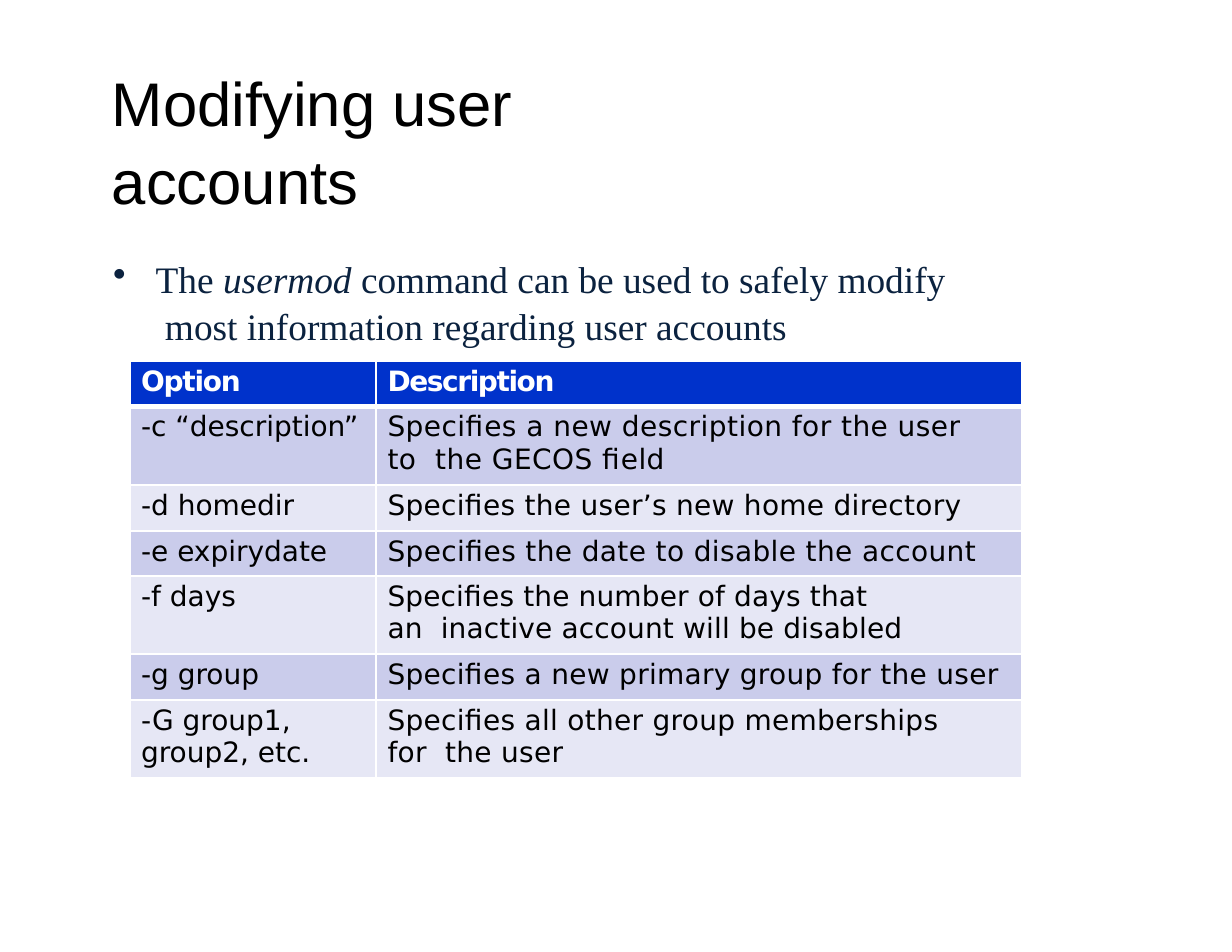
from lxml import etree
from pptx import Presentation
from pptx.dml.color import RGBColor
from pptx.enum.text import MSO_ANCHOR as Anchor, MSO_AUTO_SIZE as AutoSize
from pptx.oxml.ns import qn
from pptx.util import Inches, Pt

BLACK, WHITE, NAVY = "000000", "FFFFFF", "0B223F"
HEADER_FILL, BAND_FILLS = "0032CB", ("CACCEB", "E6E7F5")
COLUMN_WIDTHS = (2.2, 5.76)
ROW_HEIGHTS = (0.41, 0.7, 0.41, 0.4, 0.7, 0.41, 0.7)
# Each row: option, description, letter spacing of the description in points
OPTIONS = [
    ("Option", "Description", -0.9),
    ("-c “description”", "Specifies a new description for the user\nto  the GECOS field", 0.3),
    ("-d homedir", "Specifies the user’s new home directory", 0.2),
    ("-e expirydate", "Specifies the date to disable the account", 0.25),
    ("-f days", "Specifies the number of days that\nan  inactive account will be disabled", 0.1),
    ("-g group", "Specifies a new primary group for the user", 0.2),
    ("-G group1, group2, etc.", "Specifies all other group memberships\nfor  the user", 0.2),
]


def color(value):
    return RGBColor.from_string(value)


def style_run(span, font, size, hue, bold=False, italic=False, spacing=0):
    span.font.name, span.font.size = font, Pt(size)
    span.font.bold, span.font.italic = bold, italic
    span.font.color.rgb = color(hue)
    if spacing:
        span.font._element.set("spc", str(round(spacing * 100)))


def add_text_box(page, left, top, width, height, anchor):
    box = page.shapes.add_textbox(Inches(left), Inches(top), Inches(width), Inches(height))
    frame = box.text_frame
    frame.word_wrap, frame.auto_size = True, AutoSize.SHAPE_TO_FIT_TEXT
    frame.vertical_anchor = anchor
    frame.margin_left = frame.margin_right = frame.margin_bottom = 0
    frame.margin_top = Inches(0.01)
    para = frame.paragraphs[0]
    para.space_before, para.line_spacing = Pt(1), 1.05
    return para


def add_title(page, left, top, width, height):
    para = add_text_box(page, left, top, width, height, Anchor.MIDDLE)
    para.text = "Modifying user accounts"
    style_run(para.runs[0], "Arial", 39.6, BLACK)


def add_bullet(page, left, top, width, height):
    para = add_text_box(page, left, top, width, height, Anchor.TOP)
    para.text = "The \nusermod \ncommand can be used to safely modify\n most information regarding user accounts"
    # Only the last break is a real one; the others just divide the runs
    for line_break in para._p.findall(qn("a:br"))[:2]:
        para._p.remove(line_break)
    for span in para.runs:
        style_run(span, "Times New Roman", 24, NAVY, italic=span.text == "usermod ")
    properties = para._p.get_or_add_pPr()
    properties.set("marL", str(Inches(0.39)))
    properties.set("indent", str(Inches(-0.38)))
    etree.SubElement(properties, qn("a:buChar"), char="•")


def set_borders(cell, **widths):
    properties = cell._tc.get_or_add_tcPr()
    for index, side in enumerate("LRTB"):
        line = etree.Element(qn(f"a:ln{side}"), w=str(Pt(widths.get(side, 1.5))))
        fill = etree.SubElement(line, qn("a:solidFill"))
        etree.SubElement(fill, qn("a:srgbClr"), val=WHITE)
        properties.insert(index, line)


def fill_cell(cell, text, fill, hue, bold, spacing):
    cell.fill.solid()
    cell.fill.fore_color.rgb = color(fill)
    cell.margin_left, cell.margin_top = Inches(0.1), Inches(0.04)
    cell.margin_right = cell.margin_bottom = 0
    para = cell.text_frame.paragraphs[0]
    para.text = text
    para.space_before = Pt(2.8)
    for span in para.runs:
        style_run(span, "DejaVu Sans", 18, hue, bold, spacing=spacing)


def add_options_table(page, left, top):
    table = page.shapes.add_table(
        len(OPTIONS), len(COLUMN_WIDTHS), Inches(left), Inches(top),
        Inches(sum(COLUMN_WIDTHS)), Inches(sum(ROW_HEIGHTS))).table
    for column, width in zip(table.columns, COLUMN_WIDTHS):
        column.width = Inches(width)
    for row, height in zip(table.rows, ROW_HEIGHTS):
        row.height = Inches(height)
    for index, (option, description, spacing) in enumerate(OPTIONS):
        header = index == 0
        fill = HEADER_FILL if header else BAND_FILLS[(index - 1) % 2]
        hue = WHITE if header else BLACK
        option_spacing = -0.8 if header else 0
        for column, (text, gap) in enumerate([(option, option_spacing), (description, spacing)]):
            cell = table.cell(index, column)
            fill_cell(cell, text, fill, hue, header, gap)
            set_borders(cell, R=1 if column else 1.5,
                        T=4.25 if index == 1 else 1.5, B=4.25 if header else 1.5)


def main():
    deck = Presentation()
    deck.slide_width, deck.slide_height = Inches(11), Inches(8.5)
    page = deck.slides.add_slide(deck.slide_layouts[6])
    add_title(page, 1, 0.92, 5, 0.63)
    add_bullet(page, 1, 2.26, 7.45, 0.83)
    add_options_table(page, 1.16, 3.22)
    deck.save("out.pptx")


if __name__ == "__main__":
    main()
